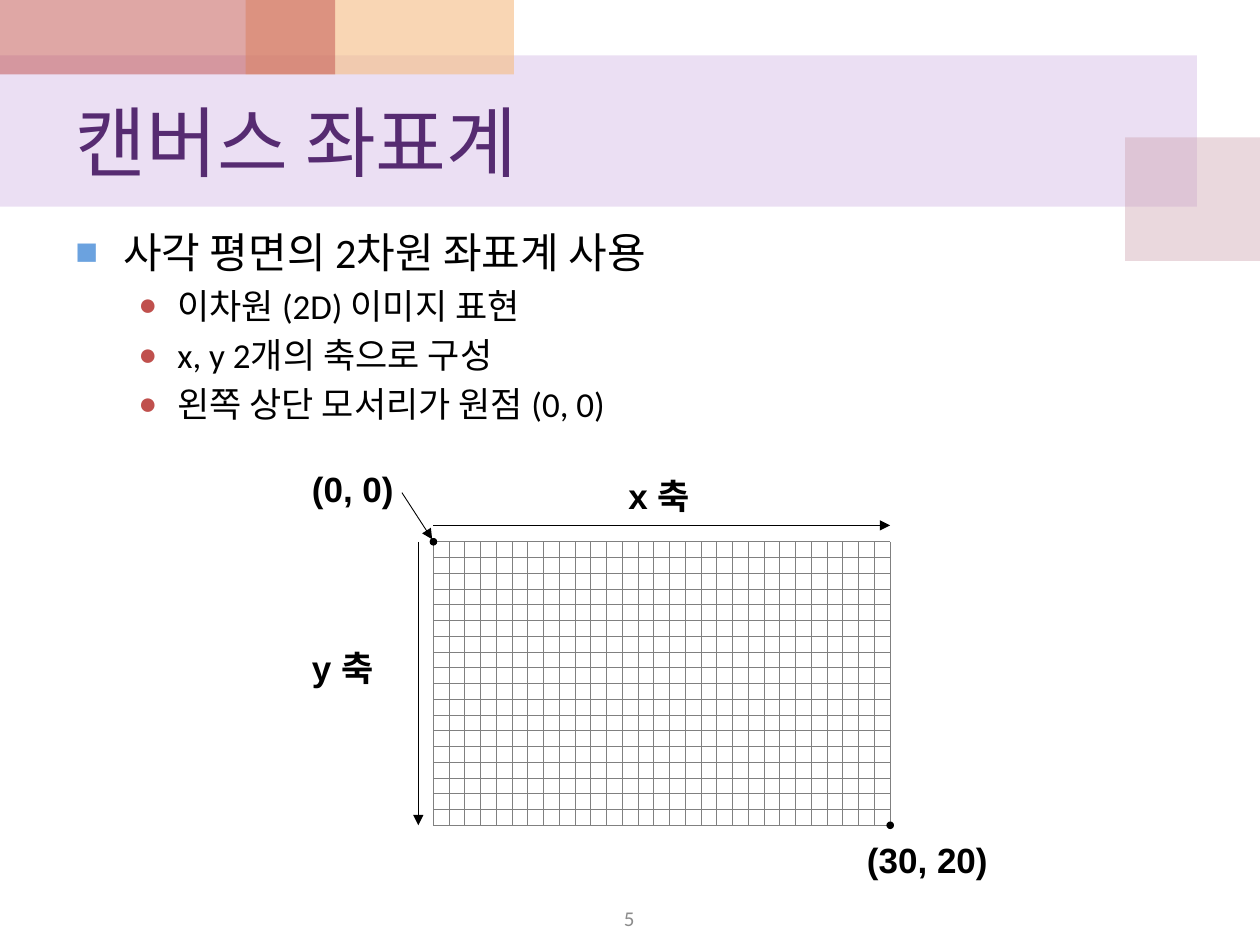
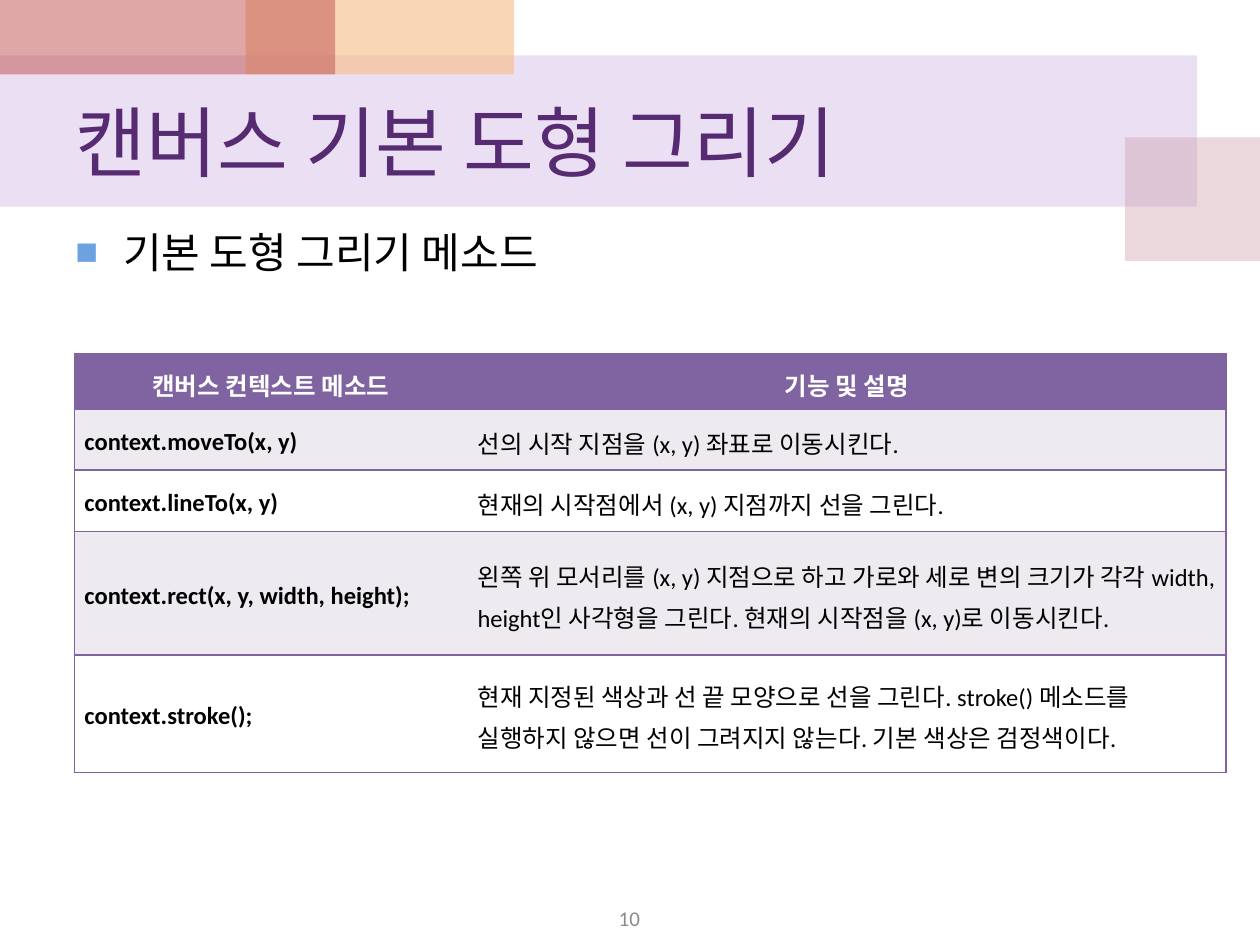
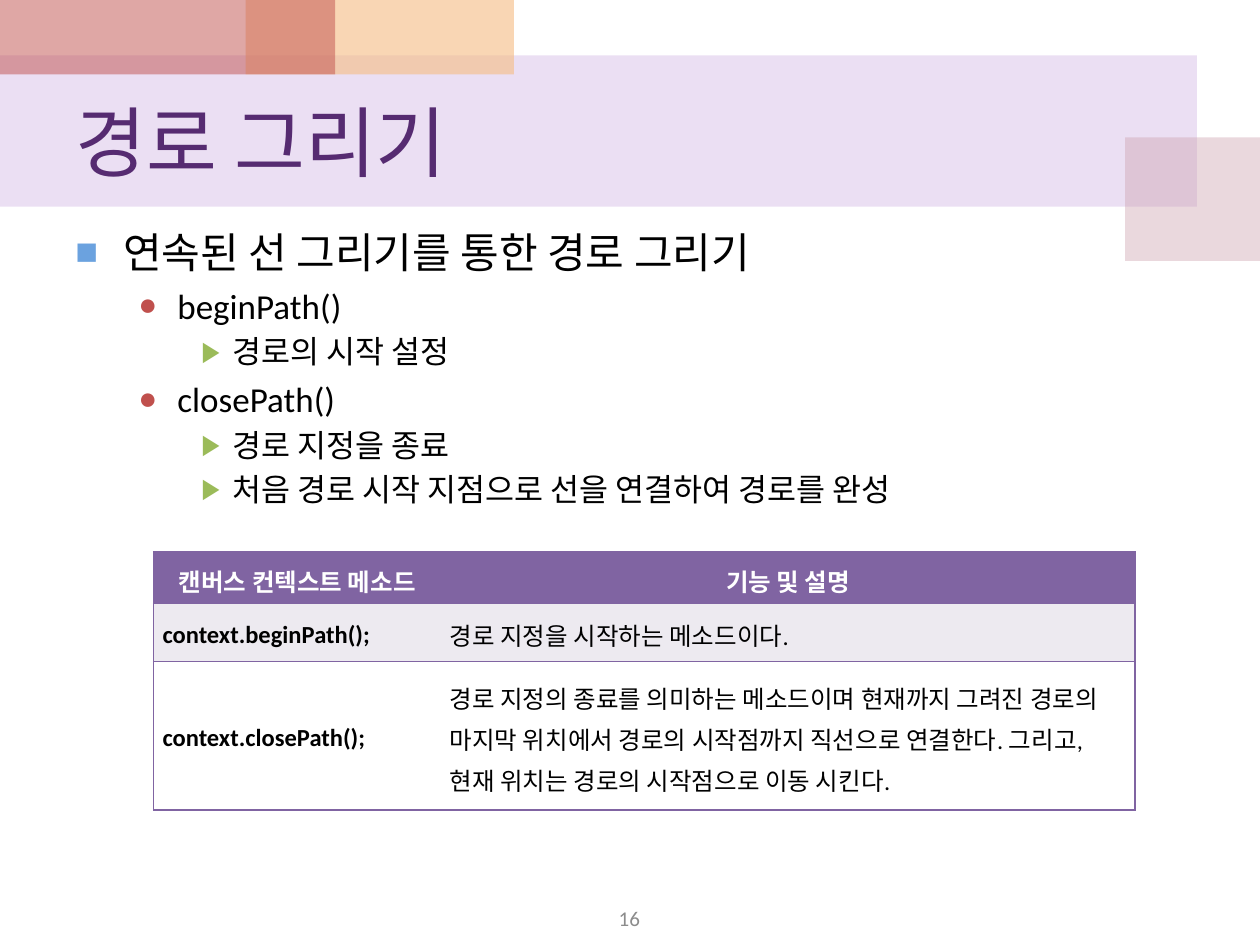
from pptx import Presentation
from pptx.dml.color import RGBColor
from pptx.enum.shapes import MSO_CONNECTOR, MSO_SHAPE
from pptx.enum.text import MSO_ANCHOR, PP_ALIGN
from pptx.oxml.ns import qn
from pptx.util import Inches, Pt
from lxml.etree import SubElement

INK = {
    "band": "BF98D8", "rose": "CC9EAC", "sand": "F5BC83", "red": "C0504D",
    "title": "562B71", "text": "000000", "page": "8C8C8C", "grid": "808080",
    "blue": "6BA2DF", "green": "9BBB59", "head": "8064A2", "tint": "EDEAF0",
    "white": "FFFFFF",
}
DECOR = [
    ((0, 0.44, 9.5, 1.2), "band", 30),
    ((8.93, 1.09, 1.07, 0.98), "rose", 40),
    ((1.95, 0, 2.13, 0.59), "sand", 60),
    ((0, 0, 2.66, 0.59), "red", 50),
]
LEVELS = [
    {"size": 24, "left": 0.38, "hang": 0.38, "mark": "■", "ink": "blue"},
    {"size": 20, "left": 0.81, "hang": 0.31, "mark": "●", "ink": "red"},
    {"size": 18, "left": 1.25, "hang": 0.25, "mark": "▶", "ink": "green"},
]
LABEL = {"alignment": PP_ALIGN.CENTER, "line_spacing": 1.15, "space_after": Pt(10)}
FLUSH = dict.fromkeys(("margin_left", "margin_top", "margin_right", "margin_bottom"), 0)
HEADS = ("캔버스 컨텍스트 메소드", "기능 및 설명")


def apply(item, values):
    for name, value in values.items():
        setattr(item, name, value)


def tone(name):
    return RGBColor.from_string(INK[name])


def box(at):
    return [Inches(n) for n in at]


def write(para, text, size, ink="text", bold=False, face="Calibri"):
    run = para.add_run()
    run.text = text
    apply(run.font, {"name": face, "size": Pt(size), "bold": bold})
    run.font.color.rgb = tone(ink)


def add_shape(shapes, kind, at, ink, alpha=100, line=None):
    shape = shapes.add_shape(kind, *box(at))
    shape.shadow.inherit = False
    shape.fill.solid()
    shape.fill.fore_color.rgb = tone(ink)
    if alpha < 100:
        color = shape.fill._xPr.find(".//" + qn("a:srgbClr"))
        SubElement(color, qn("a:alpha"), val=str(alpha * 1000))
    if line:
        shape.line.color.rgb = tone(ink)
        shape.line.width = Pt(line)
    else:
        shape.line.fill.background()


def add_line(shapes, start, end, ink, width, arrow=False):
    line = shapes.add_connector(MSO_CONNECTOR.STRAIGHT, *box(start + end))
    line.line.color.rgb = tone(ink)
    line.line.width = Pt(width)
    if arrow:
        SubElement(line.line._get_or_add_ln(), qn("a:tailEnd"), type="triangle")
    SubElement(line._element.spPr, qn("a:effectLst"))


def add_text(shapes, at, anchor=MSO_ANCHOR.MIDDLE, frame=None):
    text = shapes.add_textbox(*box(at)).text_frame
    apply(text, {"word_wrap": True, "vertical_anchor": anchor, **(frame or {})})
    return text


def add_label(shapes, left, top, text):
    para = add_text(shapes, (left, top, 1.02, 0.49), frame=FLUSH).paragraphs[0]
    apply(para, LABEL)
    write(para, text, 20, bold=True, face="Arial")


def add_body(slide, items):
    text = add_text(slide.shapes, (0.5, 1.75, 9, 4.95), MSO_ANCHOR.TOP)
    for index, (depth, words) in enumerate(items):
        para = text.add_paragraph() if index else text.paragraphs[0]
        level = LEVELS[depth]
        apply(para, {"level": depth, "space_before": Pt(level["size"] * 0.2)})
        props = para._p.get_or_add_pPr()
        props.set("marL", str(Inches(level["left"])))
        props.set("indent", str(-Inches(level["hang"])))
        color = SubElement(props, qn("a:buClr"))
        SubElement(color, qn("a:srgbClr"), val=INK[level["ink"]])
        SubElement(props, qn("a:buSzPct"), val="90000")
        SubElement(props, qn("a:buFont"), typeface="Arial")
        SubElement(props, qn("a:buChar"), char=level["mark"])
        write(para, words, level["size"])


def add_edges(cell, inner):
    props = cell._tc.get_or_add_tcPr()
    for side in ("lnL", "lnR", "lnT", "lnB"):
        edge = SubElement(props, qn("a:" + side), w=str(Pt(1)))
        if side == inner:
            SubElement(edge, qn("a:noFill"))
        else:
            fill = SubElement(edge, qn("a:solidFill"))
            SubElement(fill, qn("a:srgbClr"), val=INK["head"])


def add_grid(slide, at, widths, heights, rows, margin):
    rows = [HEADS] + rows
    table = slide.shapes.add_table(len(rows), len(widths), *box(at)).table
    for col, width in zip(table.columns, widths):
        col.width = Inches(width)
    for row, height in zip(table.rows, heights):
        row.height = Inches(height)
    side = Inches(margin)
    style = {**FLUSH, "margin_left": side, "margin_right": side,
             "vertical_anchor": MSO_ANCHOR.MIDDLE}
    for r, words in enumerate(rows):
        paint = "head" if r == 0 else "tint" if r % 2 else "white"
        for c, text in enumerate(words):
            cell = table.cell(r, c)
            apply(cell, style)
            add_edges(cell, "lnL" if c else "lnR")
            cell.fill.solid()
            cell.fill.fore_color.rgb = tone(paint)
            para = cell.text_frame.paragraphs[0]
            apply(para, {"line_spacing": 1.15,
                         "alignment": PP_ALIGN.LEFT if r else PP_ALIGN.CENTER})
            write(para, text, 14, "text" if r else "white", r == 0 or c == 0)


def add_axes(slide):
    shapes = slide.shapes.add_group_shape().shapes
    left, top, step, cols, rows = 3.44, 4.3, 0.125, 29, 18
    right, base = left + cols * step, top + rows * step
    add_line(shapes, (left, 4.17), (right, 4.17), "text", 0.75, True)
    add_line(shapes, (3.32, top), (3.32, base), "text", 0.75, True)
    for n in range(cols + 1):
        x = left + n * step
        add_line(shapes, (x, top), (x, base), "grid", 0.5)
    for n in range(rows + 1):
        y = top + n * step
        add_line(shapes, (left, y), (right, y), "grid", 0.5)
    add_line(shapes, (3.19, 3.91), (3.43, 4.28), "text", 0.5, True)
    for x, y in ((left, top), (right, base)):
        dot = (x - 0.025, y - 0.025, 0.05, 0.05)
        add_shape(shapes, MSO_SHAPE.OVAL, dot, "text", line=0.75)
    add_label(shapes, 2.29, 3.61, "(0, 0)")
    add_label(shapes, 6.85, 6.55, "(30, 20)")
    add_label(shapes, 4.72, 3.66, "x 축")
    add_label(shapes, 2.21, 5.03, "y 축")


def add_page(deck, title, number, items):
    slide = deck.slides.add_slide(deck.slide_layouts[6])
    for at, ink, alpha in DECOR:
        add_shape(slide.shapes, MSO_SHAPE.RECTANGLE, at, ink, alpha)
    head = add_text(slide.shapes, (0.5, 0.59, 9, 1.05))
    write(head.paragraphs[0], title, 44, "title")
    add_body(slide, items)
    foot = add_text(slide.shapes, (3.83, 7.15, 2.33, 0.27)).paragraphs[0]
    foot.alignment = PP_ALIGN.CENTER
    write(foot, str(number), 12, "page")
    return slide


def main():
    deck = Presentation()
    apply(deck, {"slide_width": Inches(10), "slide_height": Inches(7.5)})

    slide = add_page(deck, "캔버스 좌표계", 5, [
        (0, "사각 평면의 2차원 좌표계 사용"),
        (1, "이차원 (2D) 이미지 표현"),
        (1, "x, y 2개의 축으로 구성"),
        (1, "왼쪽 상단 모서리가 원점 (0, 0)"),
    ])
    add_axes(slide)

    slide = add_page(deck, "캔버스 기본 도형 그리기", 10, [
        (0, "기본 도형 그리기 메소드"),
    ])
    add_grid(slide, (0.59, 2.81, 9.13, 3.31), (3.12, 6.02),
             (0.44, 0.48, 0.49, 0.98, 0.93), [
        ("context.moveTo(x, y)", "선의 시작 지점을 (x, y) 좌표로 이동시킨다."),
        ("context.lineTo(x, y)", "현재의 시작점에서 (x, y) 지점까지 선을 그린다."),
        ("context.rect(x, y, width, height);",
         "왼쪽 위 모서리를 (x, y) 지점으로 하고 가로와 세로 변의 크기가 각각 "
         "width, height인 사각형을 그린다. 현재의 시작점을 (x, y)로 이동시킨다."),
        ("context.stroke();",
         "현재 지정된 색상과 선 끝 모양으로 선을 그린다. stroke() 메소드를 "
         "실행하지 않으면 선이 그려지지 않는다. 기본 색상은 검정색이다."),
    ], 0.08)

    slide = add_page(deck, "경로 그리기", 16, [
        (0, "연속된 선 그리기를 통한 경로 그리기"),
        (1, "beginPath()"),
        (2, "경로의 시작 설정"),
        (1, "closePath()"),
        (2, "경로 지정을 종료"),
        (2, "처음 경로 시작 지점으로 선을 연결하여 경로를 완성"),
    ])
    add_grid(slide, (1.22, 4.38, 7.8, 2.05), (2.28, 5.51), (0.41, 0.46, 1.18), [
        ("context.beginPath();", "경로 지정을 시작하는 메소드이다."),
        ("context.closePath();",
         "경로 지정의 종료를 의미하는 메소드이며 현재까지 그려진 경로의 "
         "마지막 위치에서 경로의 시작점까지 직선으로 연결한다. 그리고, "
         "현재 위치는 경로의 시작점으로 이동 시킨다."),
    ], 0.07)

    deck.save("out.pptx")


if __name__ == "__main__":
    main()
